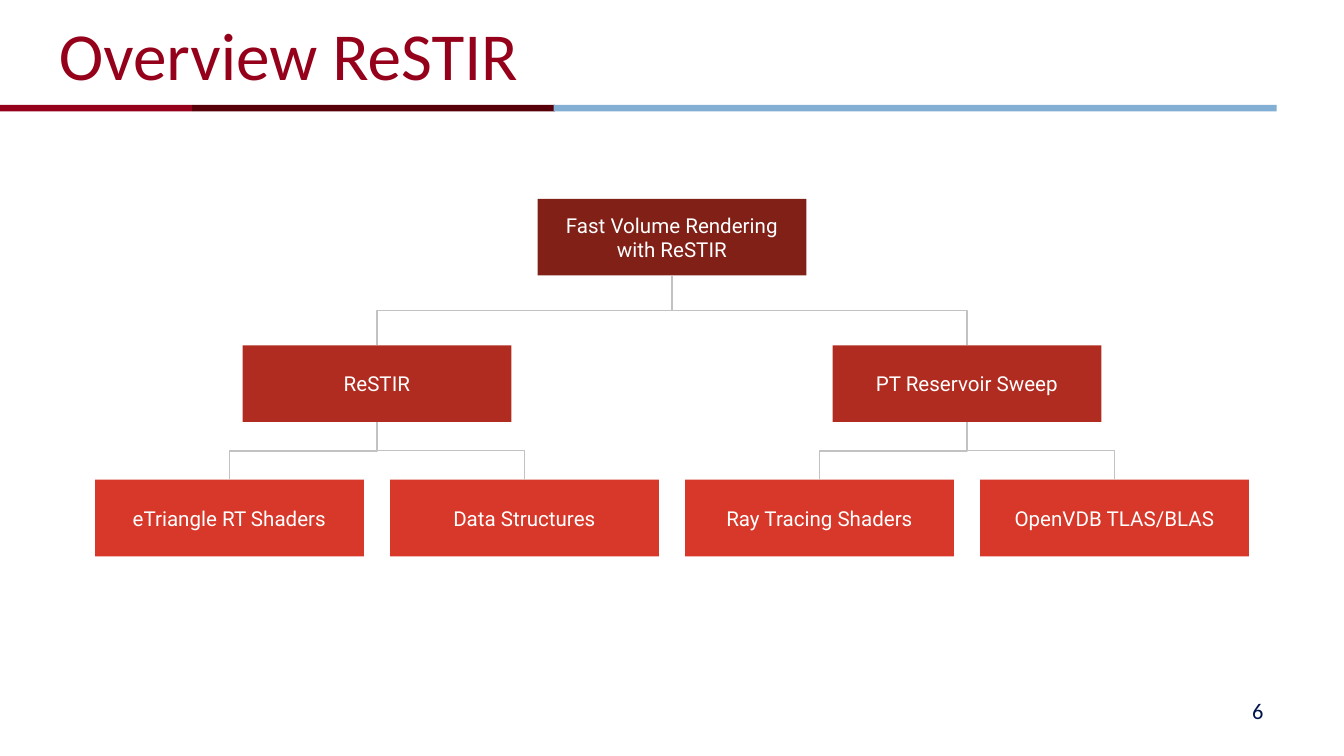
from lxml import etree
from pptx import Presentation
from pptx.dml.color import RGBColor
from pptx.enum.shapes import MSO_CONNECTOR as Link, MSO_SHAPE as Kind
from pptx.enum.text import MSO_ANCHOR as Anchor, PP_ALIGN as Align
from pptx.oxml.ns import qn
from pptx.util import Inches, Pt

BOX_W, BOX_H = 2, 0.57
MID, PITCH = 5, 2.195  # slide centre, distance between leaf centres
TOPS = (1.48, 2.57, 3.57)
FILLS = ("802017", "B02C20", "D83829")
TREE = ("Fast Volume Rendering with ReSTIR", [
    ("ReSTIR", [("eTriangle RT Shaders", []), ("Data Structures", [])]),
    ("PT Reservoir Sweep", [("Ray Tracing Shaders", []), ("OpenVDB TLAS/BLAS", [])]),
])
BARS = ((-0.01, 1.44, "95001A"), (1.43, 2.7, "57000A"), (4.12, 5.38, "82AFD3"))


def color(code):
    return RGBColor.from_string(code)


def add_rect(slide, x, y, w, h, fill):
    rect = slide.shapes.add_shape(Kind.RECTANGLE, Inches(x), Inches(y), Inches(w), Inches(h))
    rect.shadow.inherit = False
    rect.fill.solid()
    rect.fill.fore_color.rgb = color(fill)
    rect.line.fill.background()
    return rect


def set_text(shape, text, size, face, ink, align, pad=0.05):
    frame = shape.text_frame
    frame.text = text
    frame.word_wrap = True
    frame.vertical_anchor = Anchor.MIDDLE
    frame.margin_left = frame.margin_right = Inches(0.1)
    frame.margin_top = frame.margin_bottom = Inches(pad)
    para = frame.paragraphs[0]
    para.alignment = align
    font = para.runs[0].font
    font.size, font.name = Pt(size), face
    font.color.rgb = color(ink)


def add_label(slide, x, y, w, h, *style):
    box = slide.shapes.add_textbox(Inches(x), Inches(y), Inches(w), Inches(h))
    set_text(box, *style)


def add_link(slide, top, low):
    """Join the bottom of one box to the top of a box below with an elbow."""
    x1, x2 = (box.left + box.width // 2 for box in (top, low))
    y1, y2 = top.top + top.height, low.top
    right = x2 > x1
    start, end = ((top, 2), (low, 0)) if right else ((low, 0), (top, 2))
    link = slide.shapes.add_connector(Link.ELBOW, 0, 0, 0, 0)
    link.begin_connect(*start)
    link.end_connect(*end)

    # The frame lies on its side and is turned so that the elbow runs vertically.
    long, tall = y2 - y1, abs(x2 - x1)
    x, y = (x1 + x2 - long) // 2, (y1 + y2 - tall) // 2
    link.begin_x, link.end_x = (x + long, x) if right else (x, x + long)
    link.begin_y, link.end_y = y, y + tall
    props = link._element.spPr
    props.xfrm.set("rot", str(270 * 60000))
    link.line.color.rgb = color("C2C2C2")
    link.line.width = Pt(0.75)
    etree.SubElement(props, qn("a:effectLst"))


def add_tree(slide, node, x=MID, level=0):
    """Draw a node centred on x with its children below; return its box."""
    text, kids = node
    box = add_rect(slide, x - BOX_W / 2, TOPS[level], BOX_W, BOX_H, FILLS[level])
    set_text(box, text, 11, "Roboto", "FFFFFF", Align.CENTER, 0.1)
    reach = PITCH / 2 ** level
    for side, kid in zip((-1, 1), kids):
        add_link(slide, box, add_tree(slide, kid, x + side * reach, level + 1))
    return box


def main():
    deck = Presentation()
    deck.slide_width = Inches(10)
    deck.slide_height = deck.slide_width * 9 // 16
    slide = deck.slides.add_slide(deck.slide_layouts[6])
    for x, w, fill in BARS:
        add_rect(slide, x, 0.78, w, 0.05, fill)
    add_label(slide, 7.17, 5.14, 2.33, 0.3, "6", 12, "Calibri", "00144D", Align.RIGHT)
    add_label(slide, 0.34, 0.02, 9, 0.76, "Overview ReSTIR", 36, "Calibri", "95001A", Align.LEFT)
    add_tree(slide, TREE)
    deck.save("out.pptx")


if __name__ == "__main__":
    main()
